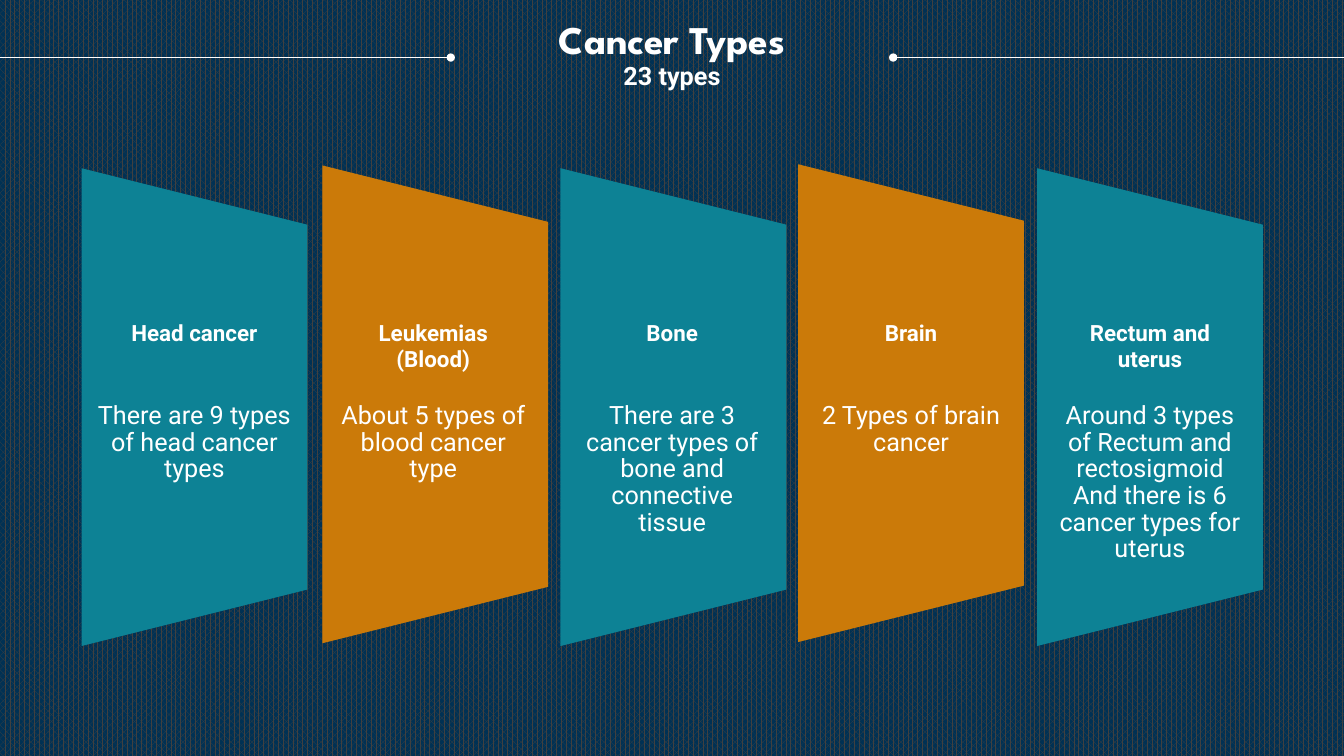
import pptx
import pptx.dml.color
import pptx.enum.dml
import pptx.enum.shapes
import pptx.enum.text
import pptx.oxml.ns
import pptx.util
import lxml.etree

Cm = pptx.util.Cm
Pt = pptx.util.Pt

TITLE = "Cancer Types"
SUBTITLE = "23 types"
PANELS = [
    {"heading": "Head cancer", "body": ["There are 9 types of head cancer types"],
     "center": (4.9, 10.26), "color": "teal"},
    {"heading": "Leukemias (Blood)", "body": ["About 5 types of blood cancer type"],
     "center": (10.97, 10.19), "color": "orange"},
    {"heading": "Bone", "body": ["There are 3 cancer types of bone and connective tissue"],
     "center": (16.97, 10.26), "color": "teal"},
    {"heading": "Brain", "body": ["2 Types of brain cancer"],
     "center": (22.96, 10.16), "color": "orange"},
    {"heading": "Rectum and uterus",
     "body": ["Around 3 types of Rectum and rectosigmoid",
              "And there is 6 cancer types for uterus"],
     "center": (28.98, 10.26), "color": "teal"},
]

THEME = {
    "white": "FFFFFF", "teal": "0D8295", "orange": "CB7A09",
    "navy": "003154", "weave": "404040",
    "title_font": "League Spartan", "text_font": "Roboto",
    "title_size": 28, "subtitle_size": 18, "heading_size": 16, "body_size": 18,
    "body_leading": 19,
}

SLIDE_WIDTH, SLIDE_HEIGHT = 33.87, 19.05
PANEL_LENGTH, PANEL_WIDTH = 12.04, 5.69
COLUMN_START, COLUMN_PITCH = 4.9, 6.02
HEADING_TOP, HEADING_WIDTH = 8.03, 3.81
BODY_TOP, BODY_WIDTH = 10.16, 4.88
TITLE_TOP, TITLE_WIDTH = 0.53, 32.59
RULE_TOP, RULE_LENGTH = 1.45, 11.36


def color(name):
    return pptx.dml.color.RGBColor.from_string(THEME[name])


def paint_background(slide):
    fill = slide.background.fill
    fill.patterned()
    fill.pattern = pptx.enum.dml.MSO_PATTERN.PERCENT_70
    fill.fore_color.rgb = color("weave")
    fill.back_color.rgb = color("navy")


def add_text(slide, center, top, width, height, lines, spacing=None):
    box = slide.shapes.add_textbox(Cm(center - width / 2), Cm(top), Cm(width), Cm(height))
    frame = box.text_frame
    frame.word_wrap = True
    frame.margin_left = frame.margin_right = frame.margin_top = frame.margin_bottom = 0
    frame.text = "\n".join(line[0] for line in lines)
    for paragraph, (_, font_name, size_name, bold) in zip(frame.paragraphs, lines):
        paragraph.alignment = pptx.enum.text.PP_ALIGN.CENTER
        if spacing:
            paragraph.line_spacing = spacing
        font = paragraph.runs[0].font
        font.name = THEME[font_name]
        font.size = Pt(THEME[size_name])
        font.bold = bold
        font.color.rgb = color("white")


def add_rule(slide, dot_x, edge_x):
    rule = slide.shapes.add_connector(
        pptx.enum.shapes.MSO_CONNECTOR.STRAIGHT,
        Cm(dot_x), Cm(RULE_TOP), Cm(edge_x), Cm(RULE_TOP))
    rule.line.color.rgb = color("white")
    rule.line.width = Pt(0.5)
    properties = rule._element.spPr
    outline = properties.find(pptx.oxml.ns.qn("a:ln"))
    lxml.etree.SubElement(outline, pptx.oxml.ns.qn("a:headEnd"), type="oval")
    lxml.etree.SubElement(properties, pptx.oxml.ns.qn("a:effectLst"))


def add_panel(slide, center, color_name):
    x, y = center
    panel = slide.shapes.add_shape(
        pptx.enum.shapes.MSO_SHAPE.TRAPEZOID,
        Cm(x - PANEL_LENGTH / 2), Cm(y - PANEL_WIDTH / 2),
        Cm(PANEL_LENGTH), Cm(PANEL_WIDTH))
    panel.rotation = 90
    panel.shadow.inherit = False
    panel.fill.solid()
    panel.fill.fore_color.rgb = color(color_name)
    panel.line.fill.background()


def main():
    presentation = pptx.Presentation()
    presentation.slide_width = Cm(SLIDE_WIDTH)
    presentation.slide_height = Cm(SLIDE_HEIGHT)
    slide = presentation.slides.add_slide(presentation.slide_layouts[6])
    paint_background(slide)

    add_rule(slide, RULE_LENGTH, 0)
    add_rule(slide, SLIDE_WIDTH - RULE_LENGTH, SLIDE_WIDTH)
    add_text(slide, SLIDE_WIDTH / 2, TITLE_TOP, TITLE_WIDTH, 1.78, [
        (TITLE, "title_font", "title_size", True),
        (SUBTITLE, "text_font", "subtitle_size", True),
    ], 0.9)

    for index, panel in enumerate(PANELS):
        column = COLUMN_START + index * COLUMN_PITCH
        add_panel(slide, panel["center"], panel["color"])
        add_text(slide, column, HEADING_TOP, HEADING_WIDTH, 1.37,
                 [(panel["heading"], "text_font", "heading_size", True)])
        add_text(slide, column, BODY_TOP, BODY_WIDTH, 4.06,
                 [(line, "text_font", "body_size", False) for line in panel["body"]],
                 Pt(THEME["body_leading"]))

    presentation.save("out.pptx")


if __name__ == "__main__":
    main()
